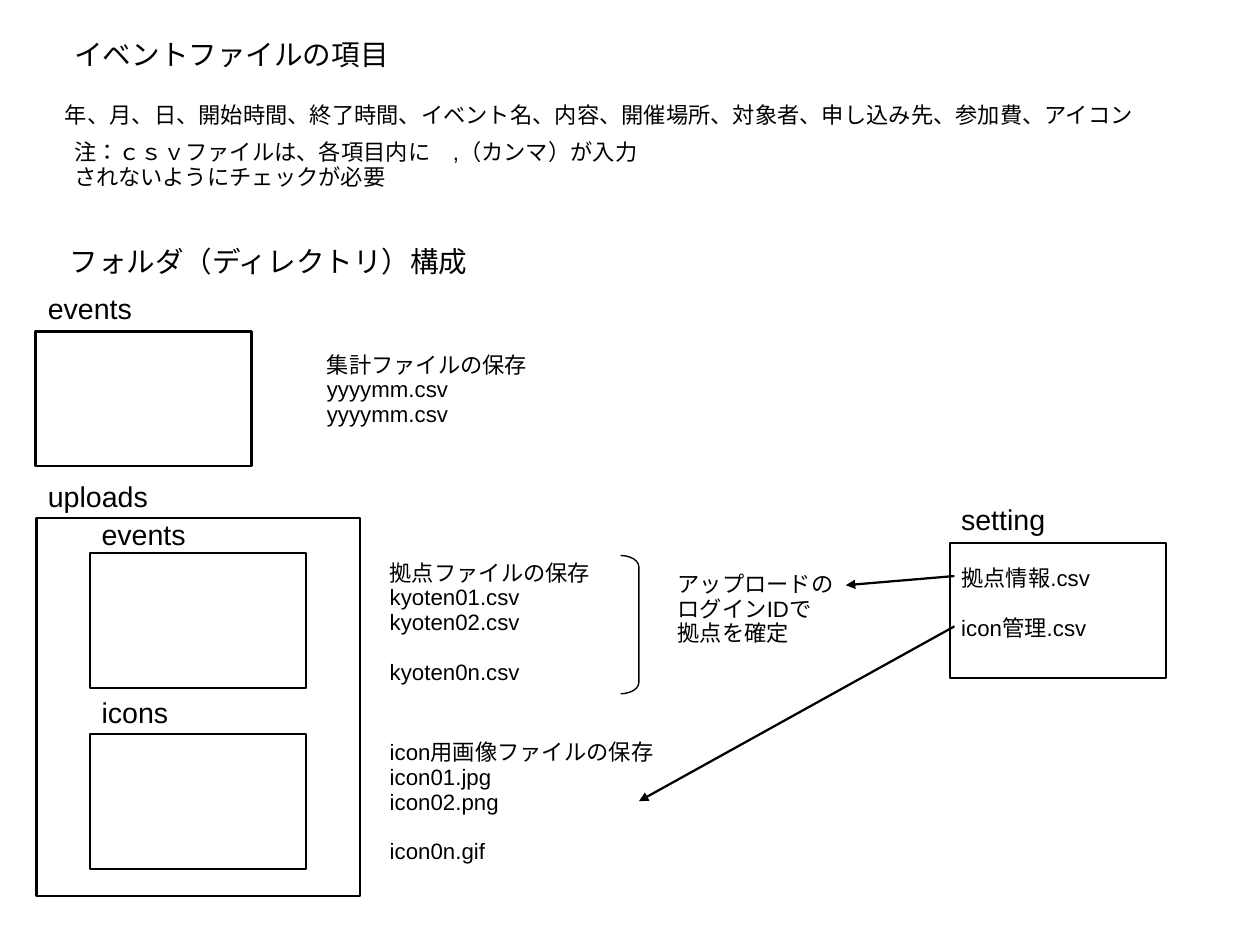
import dataclasses

import lxml.etree
import pptx
import pptx.dml.color
import pptx.enum.lang
import pptx.enum.shapes
import pptx.enum.text
import pptx.oxml.ns
import pptx.util

Inches = pptx.util.Inches
Pt = pptx.util.Pt
CENTIMETRES_PER_INCH = 2.54


@dataclasses.dataclass(frozen=True)
class Theme:
    font: str = "Arial"
    ink: pptx.dml.color.RGBColor = pptx.dml.color.RGBColor(0, 0, 0)
    paper: pptx.dml.color.RGBColor = pptx.dml.color.RGBColor(255, 255, 255)
    heading_size: float = 18
    body_size: float = 14
    line_spacing: float = 0.93
    list_gap: float = 15.5
    line_width: float = 1.42
    bracket_width: float = 0.85


def add_xml(parent, tag, **attributes):
    return lxml.etree.SubElement(parent, pptx.oxml.ns.qn(tag), **attributes)


def write_text(shape, text, *, theme, size, top_inset=0.05, gaps=(), plain_list=False):
    frame = shape.text_frame
    frame.text = text
    frame.word_wrap = True
    frame.auto_size = pptx.enum.text.MSO_AUTO_SIZE.NONE
    frame.vertical_anchor = pptx.enum.text.MSO_ANCHOR.TOP
    frame.margin_left = frame.margin_right = Inches(0.1)
    frame.margin_top, frame.margin_bottom = Inches(top_inset), Inches(0.05)
    for index, paragraph in enumerate(frame.paragraphs):
        paragraph.alignment = pptx.enum.text.PP_ALIGN.LEFT
        paragraph.line_spacing = theme.line_spacing
        paragraph.space_before = Pt(theme.list_gap if index in gaps else 0)
        paragraph.space_after = Pt(0)
        if plain_list:
            properties = paragraph._p.get_or_add_pPr()
            properties.set("marL", "0")
            properties.set("indent", "0")
            add_xml(properties, "a:buNone")
        for run in paragraph.runs:
            run.font.name = theme.font
            run.font.size = Pt(size)
            run.font.bold = False
            run.font.color.rgb = theme.ink
            run.font.language_id = pptx.enum.lang.MSO_LANGUAGE_ID.JAPANESE


class SlideBuilder:
    def __init__(self, slide, theme):
        self.slide = slide
        self.theme = theme

    def place(self, shape, left, top, width, height):
        shape.left, shape.top = Inches(left), Inches(top)
        shape.width, shape.height = Inches(width), Inches(height)

    def title(self, text, *box):
        shape = self.slide.shapes.title
        self.place(shape, *box)
        write_text(shape, text, theme=self.theme, size=self.theme.heading_size, top_inset=0.07)

    def file_list(self, index, items, *box, gaps=()):
        shape = self.slide.placeholders[index]
        self.place(shape, *box)
        self.slide.shapes._spTree.append(shape._element)
        write_text(shape, "\n".join(items), theme=self.theme, size=self.theme.body_size,
                   gaps=gaps, plain_list=True)

    def text(self, text, *box, size=None, top_inset=0.05):
        shape = self.slide.shapes.add_textbox(*map(Inches, box))
        write_text(shape, text, theme=self.theme, size=size or self.theme.body_size,
                   top_inset=top_inset)

    def heading(self, text, *box, top_inset=0.05):
        self.text(text, *box, size=self.theme.heading_size, top_inset=top_inset)

    def outline(self, kind, box, width):
        shape = self.slide.shapes.add_shape(kind, *map(Inches, box))
        shape.shadow.inherit = False
        shape.line.color.rgb = self.theme.ink
        shape.line.width = Pt(width)
        return shape

    def folder_box(self, *box):
        shape = self.outline(pptx.enum.shapes.MSO_SHAPE.RECTANGLE, box, self.theme.line_width)
        shape.fill.solid()
        shape.fill.fore_color.rgb = self.theme.paper

    def bracket(self, *box):
        shape = self.outline(pptx.enum.shapes.MSO_SHAPE.RIGHT_BRACKET, box,
                             self.theme.bracket_width)
        shape.adjustments[0] = 0.62
        shape.fill.background()

    def arrow(self, *ends):
        connector = self.slide.shapes.add_connector(
            pptx.enum.shapes.MSO_CONNECTOR.STRAIGHT, *map(Inches, ends))
        connector.line.color.rgb = self.theme.ink
        connector.line.width = Pt(self.theme.line_width)
        add_xml(connector.line._get_or_add_ln(), "a:tailEnd", type="triangle")
        add_xml(connector._element.spPr, "a:effectLst")


def main():
    presentation = pptx.Presentation()
    presentation.slide_width = Inches(28 / CENTIMETRES_PER_INCH)
    presentation.slide_height = Inches(21 / CENTIMETRES_PER_INCH)
    comparison_layout = presentation.slide_layouts[4]
    builder = SlideBuilder(presentation.slides.add_slide(comparison_layout), Theme())

    builder.title("イベントファイルの項目", 0.55, 0.28, 3.39, 0.43)
    builder.text(
        "年、月、日、開始時間、終了時間、イベント名、内容、開催場所、対象者、申し込み先、参加費、アイコン",
        0.47, 0.86, 10.08, 0.4)
    builder.text(
        "注：ｃｓｖファイルは、各項目内に　,（カンマ）が入力されないようにチェックが必要",
        0.55, 1.18, 5.2, 0.54)
    builder.heading("フォルダ（ディレクトリ）構成", 0.51, 2.09, 4.02, 0.43, top_inset=0.07)

    builder.folder_box(0.32, 4.53, 2.83, 3.31)
    for left, top in [(0.31, 2.9), (0.79, 4.84), (0.79, 6.42), (8.31, 4.75)]:
        builder.folder_box(left, top, 1.89, 1.18)

    for name, left, top in [
        ("events", 0.32, 2.52),
        ("uploads", 0.32, 4.17),
        ("events", 0.79, 4.5),
        ("icons", 0.79, 6.06),
        ("setting", 8.31, 4.37),
    ]:
        builder.heading(name, left, top, 2.13, 0.3)

    builder.file_list(1, ["集計ファイルの保存", "yyyymm.csv", "yyyymm.csv"],
                      2.76, 3.04, 2.13, 0.58)
    builder.file_list(2, ["拠点ファイルの保存", "kyoten01.csv", "kyoten02.csv", "kyoten0n.csv"],
                      3.31, 4.86, 2.13, 1.36, gaps=(3,))
    builder.file_list(3, ["icon用画像ファイルの保存", "icon01.jpg", "icon02.png", "icon0n.gif"],
                      3.31, 6.43, 2.6, 1.36, gaps=(3,))
    builder.file_list(4, ["拠点情報.csv", "icon管理.csv"],
                      8.31, 4.91, 2.13, 0.58, gaps=(1,))

    builder.bracket(5.43, 4.86, 0.16, 1.21)
    builder.text("アップロードの\nログインIDで\n拠点を確定", 5.83, 4.96, 2.52, 0.77)
    builder.arrow(8.35, 5.04, 7.4, 5.12)
    builder.arrow(8.35, 5.48, 5.59, 7.01)

    presentation.save("out.pptx")


if __name__ == "__main__":
    main()
